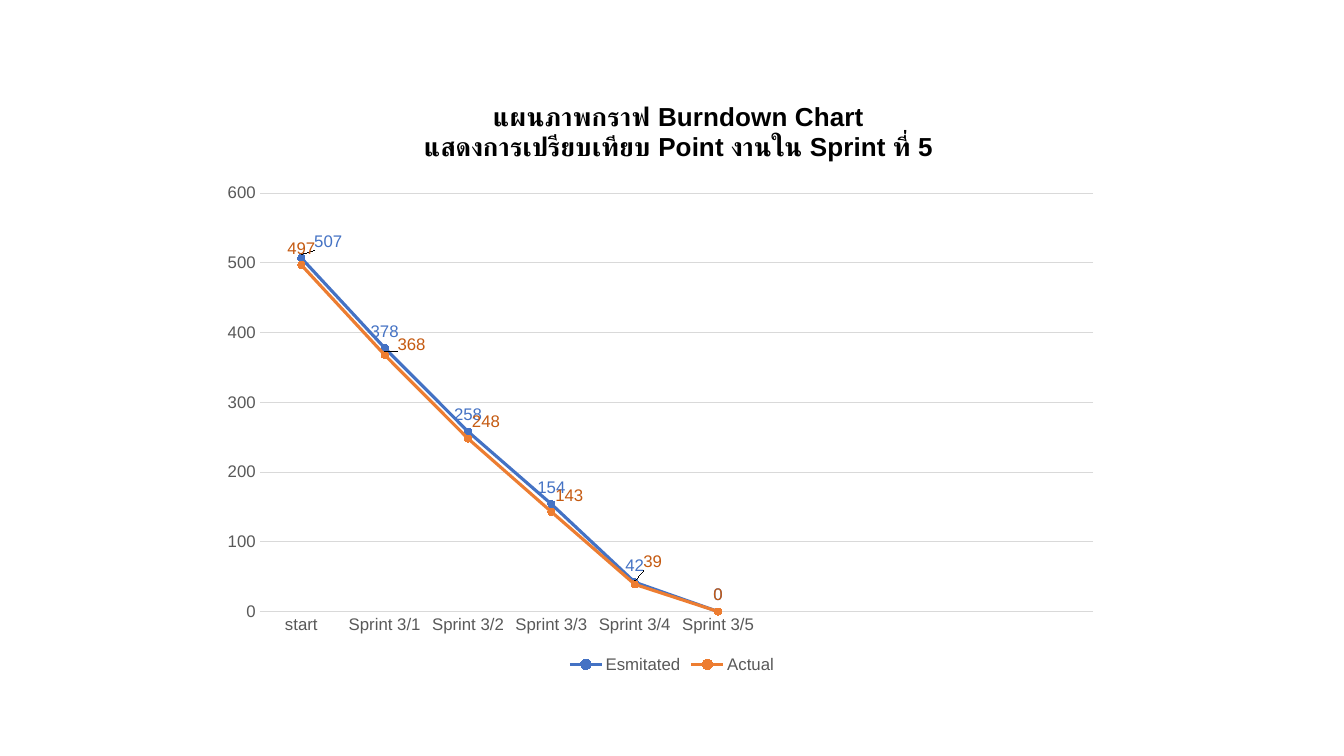
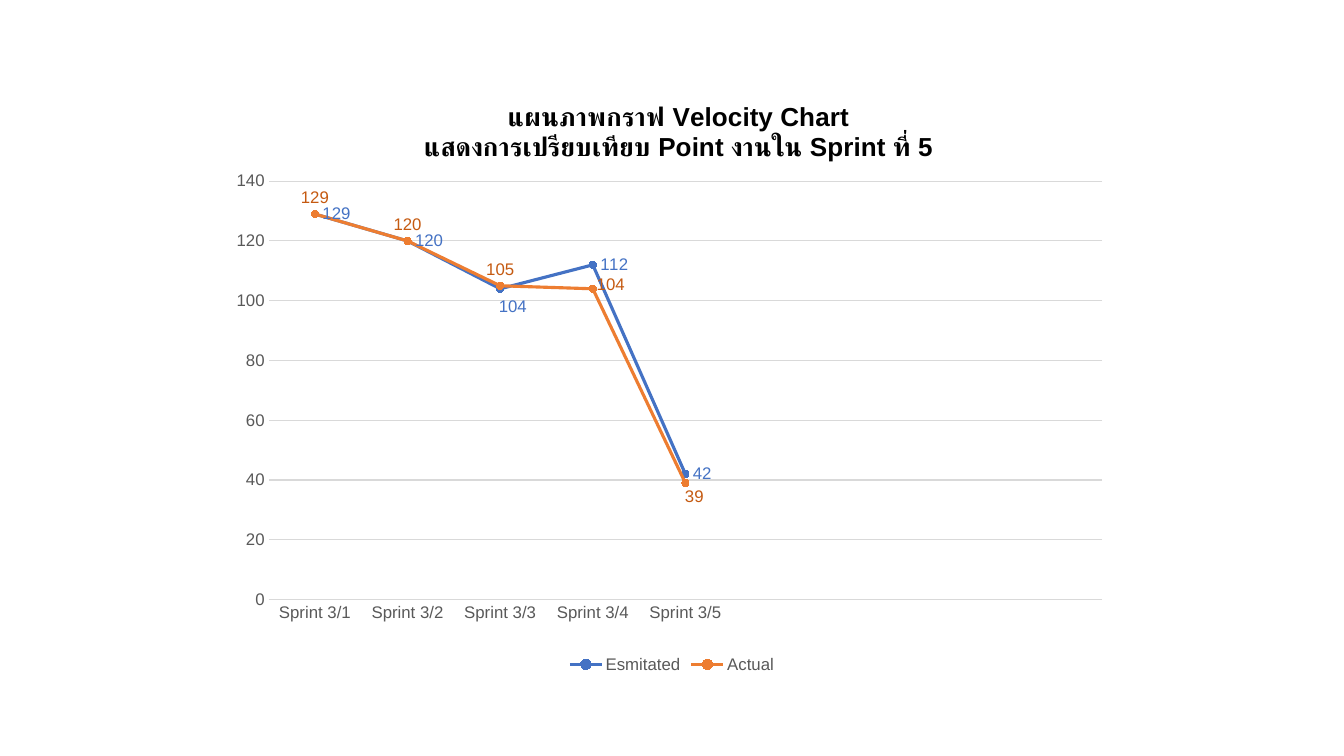
from dataclasses import dataclass

from lxml import etree
from pptx import Presentation
from pptx.chart.data import CategoryChartData
from pptx.dml.color import RGBColor
from pptx.enum.chart import (
    XL_CHART_TYPE,
    XL_LABEL_POSITION,
    XL_LEGEND_POSITION,
    XL_MARKER_STYLE,
    XL_TICK_MARK,
)
from pptx.util import Inches, Pt

LINE_MARKERS = XL_CHART_TYPE.LINE_MARKERS
ABOVE = XL_LABEL_POSITION.ABOVE
RIGHT = XL_LABEL_POSITION.RIGHT
LEGEND_BOTTOM = XL_LEGEND_POSITION.BOTTOM
CIRCLE = XL_MARKER_STYLE.CIRCLE
NO_TICK = XL_TICK_MARK.NONE
CHART_NS = "http://schemas.openxmlformats.org/drawingml/2006/chart"


@dataclass(frozen=True)
class Theme:
    font: str = "Arial"
    title_size: float = 18.6
    text_size: float = 12
    title: str = "000000"
    text: str = "595959"
    grid: str = "D9D9D9"
    estimated: str = "4472C4"
    actual: str = "ED7D31"
    actual_label: str = "C55A11"
    grid_width: float = 0.75
    line_width: float = 2.25
    marker_size: int = 5


THEME = Theme()


@dataclass(frozen=True)
class Line:
    """One series; shifts move single labels by fractions of the chart size."""

    name: str
    values: list[int]
    color: str
    label_color: str
    label_position: XL_LABEL_POSITION
    shifts: dict[int, tuple[float, float]]


@dataclass(frozen=True)
class SprintChart:
    title: list[str]
    categories: list[str]
    slots: int
    top_value: int
    step: int
    plot_origin: tuple[float, float]
    lines: list[Line]


def estimated(
    values: list[int],
    position: XL_LABEL_POSITION,
    shifts: dict[int, tuple[float, float]],
) -> Line:
    return Line("Esmitated", values, THEME.estimated, THEME.estimated, position, shifts)


def actual(values: list[int], shifts: dict[int, tuple[float, float]]) -> Line:
    return Line("Actual", values, THEME.actual, THEME.actual_label, ABOVE, shifts)


SPRINTS = [f"Sprint 3/{number}" for number in range(1, 6)]
SUBTITLE = "แสดงการเปรียบเทียบ Point งานใน Sprint ที่ 5"
PLOT_SIZE = (0.93, 0.7)

CHARTS = [
    SprintChart(
        title=["แผนภาพกราฟ Burndown Chart", SUBTITLE],
        categories=["start", *SPRINTS],
        slots=10,
        top_value=600,
        step=100,
        plot_origin=(0.04, 0.19),
        lines=[
            estimated([507, 378, 258, 154, 42, 0], ABOVE, {0: (0.03, 0)}),
            actual(
                [497, 368, 248, 143, 39, 0],
                {1: (0.03, 0.01), 2: (0.02, 0), 3: (0.02, 0), 4: (0.02, -0.01)},
            ),
        ],
    ),
    SprintChart(
        title=["แผนภาพกราฟ Velocity Chart", SUBTITLE],
        categories=SPRINTS,
        slots=9,
        top_value=140,
        step=20,
        plot_origin=(0.05, 0.17),
        lines=[
            estimated([129, 120, 104, 112, 42], RIGHT, {2: (-0.01, 0.03)}),
            actual([129, 120, 105, 104, 39], {3: (0.02, 0.02), 4: (0.01, 0.05)}),
        ],
    ),
]


def style_font(font, color: str, size: float = THEME.text_size, bold: bool = False) -> None:
    font.name = THEME.font
    font.size = Pt(size)
    font.bold = bold
    font.color.rgb = RGBColor.from_string(color)


def style_line(line, color: str, width: float) -> None:
    line.color.rgb = RGBColor.from_string(color)
    line.width = Pt(width)


def set_layout(parent, index: int, settings: dict[str, object]) -> None:
    """Give a chart part a manual layout, as its child number index."""
    for old in parent.findall(f"{{{CHART_NS}}}layout"):
        parent.remove(old)
    layout = etree.Element(f"{{{CHART_NS}}}layout")
    manual = etree.SubElement(layout, f"{{{CHART_NS}}}manualLayout")
    for tag, value in settings.items():
        etree.SubElement(manual, f"{{{CHART_NS}}}{tag}", val=str(value))
    parent.insert(index, layout)


def place_plot(chart, origin: tuple[float, float]) -> None:
    plot_area = chart.element.find(f".//{{{CHART_NS}}}plotArea")
    settings = {"layoutTarget": "inner", "xMode": "edge", "yMode": "edge"}
    settings |= zip("xywh", origin + PLOT_SIZE)
    set_layout(plot_area, 0, settings)


def write_title(chart, lines: list[str]) -> None:
    chart.has_title = True
    title = chart.chart_title
    title.text_frame.text = "\n".join(lines)
    for para in title.text_frame.paragraphs:
        style_font(para.font, THEME.title, THEME.title_size, bold=True)
    set_layout(title.element, 1, {"xMode": "edge", "yMode": "edge", "x": 0.22, "y": 0.03})


def style_axes(chart, top_value: int, step: int) -> None:
    for axis in (chart.category_axis, chart.value_axis):
        axis.major_tick_mark = axis.minor_tick_mark = NO_TICK
        style_font(axis.tick_labels.font, THEME.text)
    style_line(chart.category_axis.format.line, THEME.grid, THEME.grid_width)
    values = chart.value_axis
    values.minimum_scale, values.maximum_scale, values.major_unit = 0, top_value, step
    values.format.line.fill.background()
    style_line(values.major_gridlines.format.line, THEME.grid, THEME.grid_width)


def style_series(series, line: Line) -> None:
    series.smooth = False
    style_line(series.format.line, line.color, THEME.line_width)
    marker = series.marker
    marker.style = CIRCLE
    marker.size = THEME.marker_size
    marker.format.fill.solid()
    marker.format.fill.fore_color.rgb = RGBColor.from_string(line.color)
    style_line(marker.format.line, line.color, THEME.grid_width)

    labels = series.data_labels
    labels.show_value = True
    labels.position = line.label_position
    style_font(labels.font, line.label_color)
    for point in line.shifts:
        label = series.points[point].data_label
        style_font(label.font, line.label_color)
        label.position = line.label_position


def shift_labels(chart, lines: list[Line]) -> None:
    """Move the labels that have their own element, in order of series and point."""
    labels = chart.element.iter(f"{{{CHART_NS}}}dLbl")
    shifts = [shift for line in lines for _, shift in sorted(line.shifts.items())]
    for label, shift in zip(labels, shifts):
        set_layout(label, 1, dict(zip("xy", shift)))


def add_sprint_chart(page, sprint: SprintChart) -> None:
    data = CategoryChartData()
    data.categories = sprint.categories + [""] * (sprint.slots - len(sprint.categories))
    for line in sprint.lines:
        data.add_series(line.name, line.values + [None] * (sprint.slots - len(line.values)))
    chart = page.shapes.add_chart(
        LINE_MARKERS, Inches(2.22), Inches(0.79), Inches(8.89), Inches(5.93), data
    ).chart
    chart.plots[0].vary_by_categories = False
    style_font(chart.font, THEME.text)
    write_title(chart, sprint.title)
    place_plot(chart, sprint.plot_origin)
    style_axes(chart, sprint.top_value, sprint.step)
    for series, line in zip(chart.plots[0].series, sprint.lines):
        style_series(series, line)
    shift_labels(chart, sprint.lines)
    chart.has_legend = True
    chart.legend.position = LEGEND_BOTTOM
    chart.legend.include_in_layout = False
    style_font(chart.legend.font, THEME.text)


def main() -> None:
    deck = Presentation()
    deck.slide_width, deck.slide_height = Inches(13.33), Inches(7.5)
    blank = deck.slide_layouts[6]
    for sprint in CHARTS:
        add_sprint_chart(deck.slides.add_slide(blank), sprint)
    deck.save("out.pptx")


if __name__ == "__main__":
    main()
